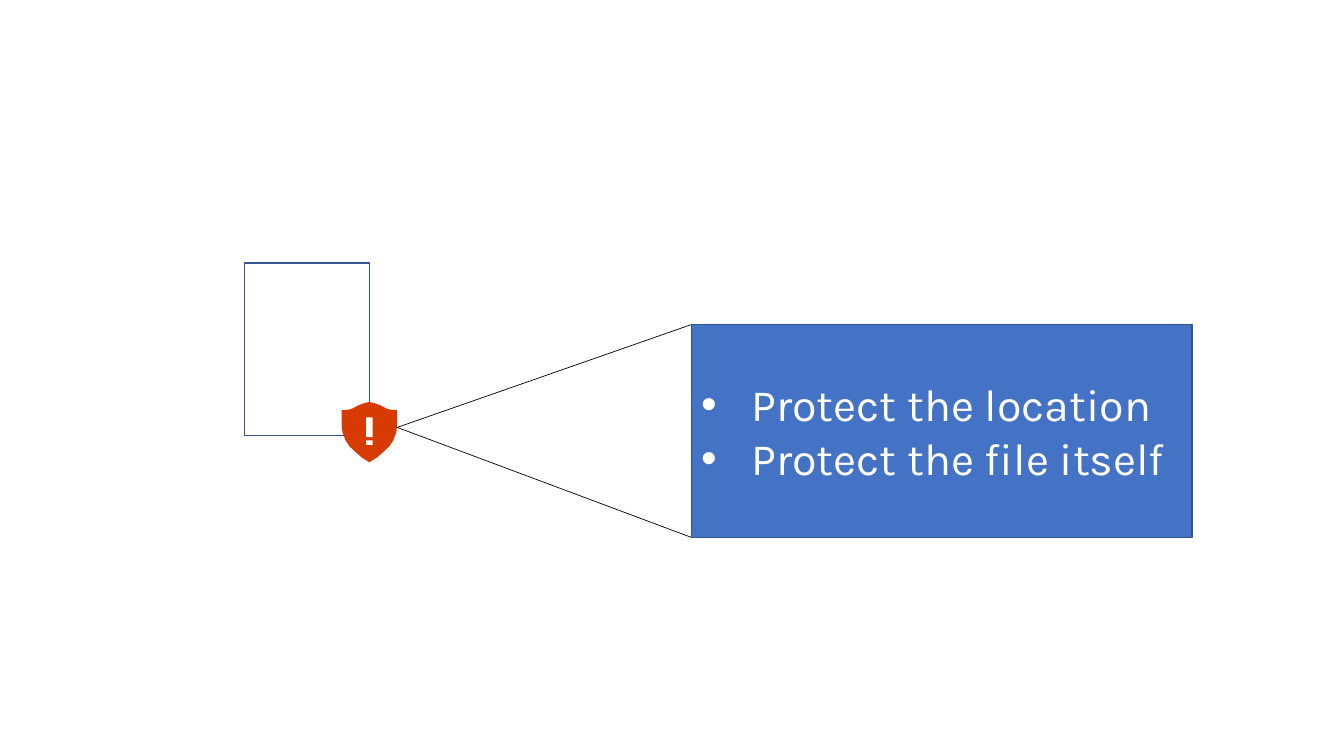
import pptx
import pptx.util
import pptx.dml.color
import pptx.enum.shapes
import pptx.enum.text
import lxml.etree

Cm, Pt = pptx.util.Cm, pptx.util.Pt

PROTECTIONS = ["Protect the location", "Protect the file itself"]
COLOURS = {"blue": "4472C4", "edge": "325491", "alert": "D83B01",
           "white": "FFFFFF", "black": "000000"}

# left, top, width, height in cm
FILE_AREA = (6.17, 6.63, 3.15, 4.34)
CALLOUT_AREA = (17.42, 8.18, 12.62, 5.36)
SHIELD_CENTRE, SHIELD_TOP = 9.31, 10.13
# right half of the shield: distance from its axis and from its top
SHIELD_HALF = [(0, 0), (0.13, 0.03), (0.27, 0.08), (0.44, 0.17), (0.56, 0.2),
               (0.7, 0.2), (0.7, 0.56), (0.68, 0.76), (0.6, 0.97),
               (0.5, 1.12), (0.34, 1.27), (0.19, 1.4), (0, 1.52)]
MARK_WIDTH = 0.16
MARK_PARTS = [(10.52, 0.5), (11.1, 0.11)]  # top, height
BEAM_START = (10.01, 10.77)
BULLET_INDENT = Cm(1.27)


def rgb(name):
    return pptx.dml.color.RGBColor.from_string(COLOURS[name])


def paint(shape, fill=None, edge=None):
    shape.shadow.inherit = False
    if fill:
        shape.fill.solid()
        shape.fill.fore_color.rgb = rgb(fill)
    else:
        shape.fill.background()
    if edge:
        shape.line.color.rgb = rgb(edge)
        shape.line.width = Pt(1)
    else:
        shape.line.fill.background()


def add_box(shapes, area, fill=None, edge=None):
    box = shapes.add_shape(pptx.enum.shapes.MSO_SHAPE.RECTANGLE,
                           *(Cm(length) for length in area))
    paint(box, fill, edge)
    return box


def add_shield(shapes):
    mirrored = [(-x, y) for x, y in SHIELD_HALF[-2:0:-1]]
    outline = [(Cm(SHIELD_CENTRE + x), Cm(SHIELD_TOP + y))
               for x, y in SHIELD_HALF + mirrored]
    builder = shapes.build_freeform(*outline[0])
    builder.add_line_segments(outline[1:], close=True)
    paint(builder.convert_to_shape(), "alert")
    for top, height in MARK_PARTS:
        add_box(shapes, (SHIELD_CENTRE - MARK_WIDTH / 2, top, MARK_WIDTH, height), "white")


def add_beam(shapes, end):
    beam = shapes.add_connector(pptx.enum.shapes.MSO_CONNECTOR.STRAIGHT,
                                *(Cm(length) for length in BEAM_START + end))
    beam.line.color.rgb = rgb("black")
    beam.line.width = Pt(0.5)
    lxml.etree.SubElement(beam._element.spPr, pptx.oxml.ns.qn("a:effectLst"))


def add_bullet(para):
    properties = para._p.get_or_add_pPr()
    properties.set("marL", str(BULLET_INDENT))
    properties.set("indent", str(-BULLET_INDENT))
    font = lxml.etree.SubElement(properties, pptx.oxml.ns.qn("a:buFont"))
    font.set("typeface", "Arial")
    bullet = lxml.etree.SubElement(properties, pptx.oxml.ns.qn("a:buChar"))
    bullet.set("char", "•")


def write_list(box, lines):
    frame = box.text_frame
    frame.word_wrap = True
    frame.vertical_anchor = pptx.enum.text.MSO_ANCHOR.MIDDLE
    for index, line in enumerate(lines):
        para = frame.add_paragraph() if index else frame.paragraphs[0]
        para.text = line
        para.alignment = pptx.enum.text.PP_ALIGN.LEFT
        add_bullet(para)
        para.font.name = "Karla"
        para.font.size = Pt(32)
        para.font.color.rgb = rgb("white")


def main():
    deck = pptx.Presentation()
    deck.slide_width, deck.slide_height = Cm(33.87), Cm(19.05)
    shapes = deck.slides.add_slide(deck.slide_layouts[6]).shapes
    add_box(shapes, FILE_AREA, edge="edge")
    add_shield(shapes)
    left, top, _, height = CALLOUT_AREA
    for corner_y in (top, top + height):
        add_beam(shapes, (left, corner_y))
    write_list(add_box(shapes, CALLOUT_AREA, "blue", "edge"), PROTECTIONS)
    deck.save("out.pptx")


if __name__ == "__main__":
    main()
